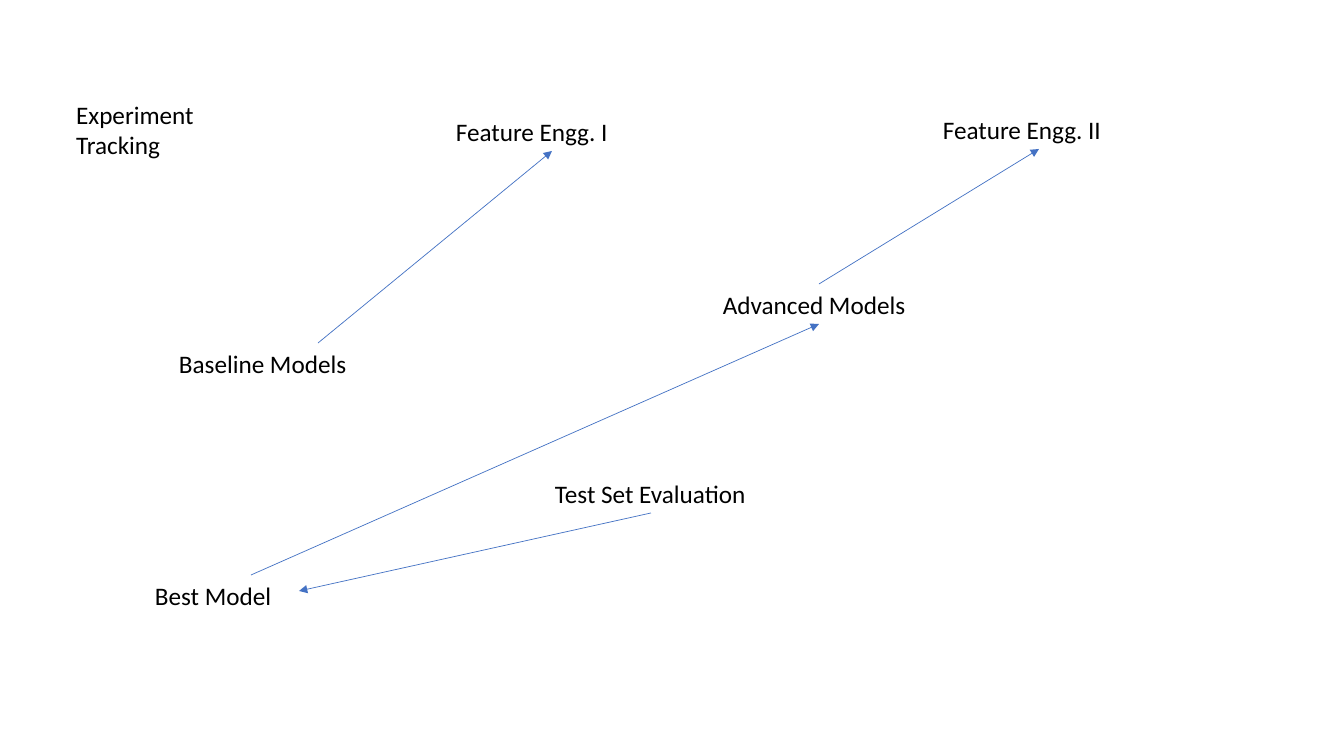
from lxml.etree import SubElement
from pptx import Presentation
from pptx.dml.color import RGBColor
from pptx.enum.shapes import MSO_CONNECTOR
from pptx.enum.text import MSO_ANCHOR, MSO_AUTO_SIZE, PP_ALIGN
from pptx.oxml.ns import qn
from pptx.util import Emu, Pt

SLIDE_W, SLIDE_H = 1344, 756
EMU_PER_PX = 12192000 / SLIDE_W
LABEL_W, LABEL_H = 212, 40
INK = RGBColor(0x00, 0x00, 0x00)
PAPER = RGBColor(0xFF, 0xFF, 0xFF)
ARROW_BLUE = RGBColor(0x44, 0x72, 0xC4)

# Stage name -> left, top within the workflow box
STAGES = {
    "Feature Engg. I": (446, 111),
    "Feature Engg. II": (933, 109),
    "Advanced Models": (713, 284),
    "Baseline Models": (169, 343),
    "Test Set Evaluation": (545, 473),
    "Best Model": (145, 575),
}

# Anchor points within a label
TOP, BOTTOM = (LABEL_W // 2, 0), (LABEL_W // 2, LABEL_H)
TOP_RIGHT, NAME_END = (149, 0), (154, 16)

FLOWS = [
    ("Baseline Models", TOP_RIGHT, "Feature Engg. I", BOTTOM),
    ("Advanced Models", TOP, "Feature Engg. II", BOTTOM),
    ("Test Set Evaluation", BOTTOM, "Best Model", NAME_END),
    ("Best Model", TOP, "Advanced Models", BOTTOM),
]


def px(length):
    return Emu(round(length * EMU_PER_PX))


def write_label(label, wording, left, top, height):
    label.left, label.top = px(left), px(top)
    label.width, label.height = px(LABEL_W), px(height)
    frame = label.text_frame
    frame.text = wording
    frame.word_wrap = True
    frame.auto_size = MSO_AUTO_SIZE.NONE
    frame.vertical_anchor = MSO_ANCHOR.TOP
    line = frame.paragraphs[0]
    line.alignment = PP_ALIGN.LEFT
    line.space_before = Pt(0)
    font = line.runs[0].font
    font.name, font.size = "Calibri", Pt(18)
    font.color.rgb = INK


def draw_flow(slide, start, end):
    arrow = slide.shapes.add_connector(
        MSO_CONNECTOR.STRAIGHT, *map(px, start), *map(px, end))
    arrow.line.color.rgb = ARROW_BLUE
    arrow.line.width = Pt(0.5)
    SubElement(arrow.line._get_or_add_ln(), qn("a:tailEnd"), type="triangle")
    SubElement(arrow._element.spPr, qn("a:effectLst"))


def add_heading(slide, left, top):
    write_label(slide.shapes.title, "Experiment Tracking", left, top, 72)


def add_workflow(slide, left, top):
    def anchor(stage, offset):
        x, y = STAGES[stage]
        return left + x + offset[0], top + y + offset[1]

    # Stage labels
    for stage in STAGES:
        x, y = anchor(stage, (0, 0))
        label = slide.shapes.add_textbox(0, 0, 0, 0)
        write_label(label, stage, x, y, LABEL_H)

    # Arrows between stages
    for source, leave, target, arrive in FLOWS:
        draw_flow(slide, anchor(source, leave), anchor(target, arrive))


deck = Presentation()
deck.slide_width, deck.slide_height = px(SLIDE_W), px(SLIDE_H)
tracking = deck.slides.add_slide(deck.slide_layouts[5])
tracking.background.fill.solid()
tracking.background.fill.fore_color.rgb = PAPER
add_heading(tracking, 66, 94)
add_workflow(tracking, 0, 0)
deck.save("out.pptx")
